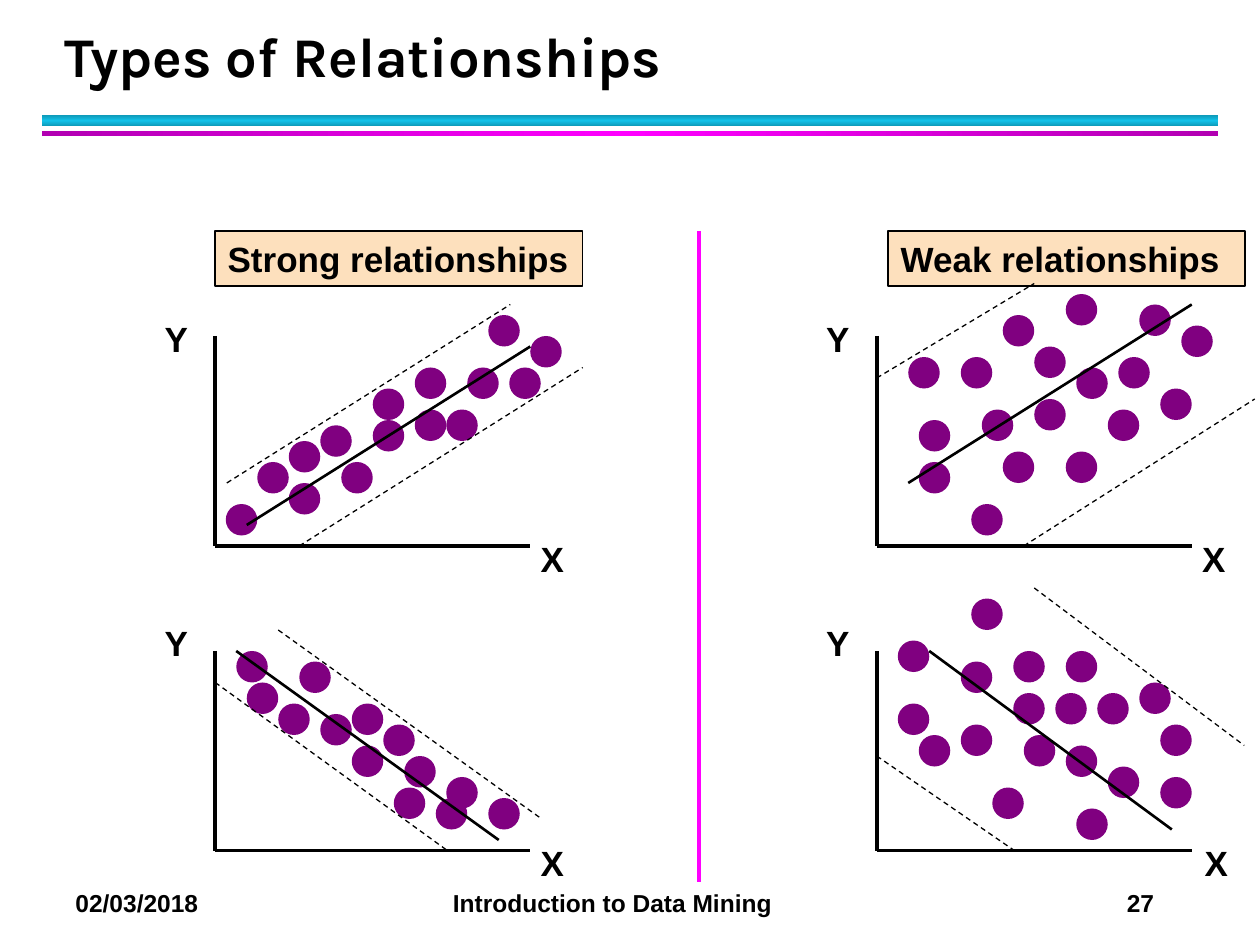
from copy import deepcopy

from lxml import etree
from pptx import Presentation
from pptx.dml.color import RGBColor
from pptx.enum.dml import MSO_LINE
from pptx.enum.shapes import MSO_CONNECTOR, MSO_SHAPE
from pptx.enum.text import MSO_ANCHOR, PP_ALIGN
from pptx.oxml.ns import qn
from pptx.util import Pt

STRAIGHT = MSO_CONNECTOR.STRAIGHT
RECTANGLE, OVAL = MSO_SHAPE.RECTANGLE, MSO_SHAPE.OVAL
DASH = MSO_LINE.DASH
TOP, BOTTOM = MSO_ANCHOR.TOP, MSO_ANCHOR.BOTTOM
LEFT = PP_ALIGN.LEFT

COLORS = {
    "black": "000000", "dot": "800080", "heading": "FDE0BD", "divider": "FF00FF",
    "cyan": "12C2E9", "dark cyan": "0E9BBA",
    "magenta": "FF00FF", "dark magenta": "B200B2",
}

TITLE = "Types of Relationships"
FOOTER = ["02/03/2018", "Introduction to Data Mining", "27"]
FOOTER_TABS = [215.7, 600.8]

# Rules under the title: top, height, edge colour, middle colour, angle
RULES = [
    (66, 6, "dark cyan", "cyan", 90),
    (74.75, 3, "dark magenta", "magenta", 0),
]

# Headings: text, left, width
HEADINGS = [
    ("Strong relationships", 123, 210),
    ("Weak relationships", 507.6, 204),
]

# Dots and lines are measured rightwards and upwards from each plot's origin
PLOTS = [
    {   # strong, rising
        "origin": (123, 312), "height": 120, "x_label": 178.8,
        "dots": [(15, 15), (33, 39), (165, 123), (177, 93), (51, 27), (189, 111),
                 (123, 69), (123, 93), (153, 93), (99, 81), (51, 51), (69, 60),
                 (141, 69), (99, 63), (81, 39)],
        "bounds": [(6.6, 36, 168.6, 138), (48, 0, 210, 102)],
        "trend": (18, 12, 180, 114),
    },
    {   # strong, falling
        "origin": (123, 486), "height": 114, "x_label": 178.8,
        "dots": [(135, 21), (27, 87), (165, 21), (57, 99), (117, 45), (141, 33),
                 (87, 75), (21, 105), (45, 75), (69, 69), (111, 27), (105, 63),
                 (87, 51)],
        "bounds": [(36, 126, 186.6, 18), (0, 96, 132.6, 0)],
        "trend": (12, 114, 162, 6),
    },
    {   # weak, rising
        "origin": (501, 312), "height": 120, "x_label": 178.8,
        "dots": [(99, 105), (33, 39), (117, 45), (147, 99), (57, 99), (63, 15),
                 (81, 45), (123, 93), (81, 123), (33, 63), (27, 99), (69, 69),
                 (141, 69), (99, 75), (117, 135), (183, 117), (171, 81), (159, 129)],
        "bounds": [(0, 96, 90, 150), (84, 0, 216, 84)],
        "trend": (18, 36, 180, 138),
    },
    {   # weak, falling
        "origin": (501, 486), "height": 114, "x_label": 180.3,
        "dots": [(21, 75), (21, 111), (57, 63), (123, 15), (33, 57), (87, 105),
                 (117, 51), (111, 81), (87, 81), (57, 99), (135, 81), (93, 57),
                 (75, 27), (141, 39), (171, 63), (159, 87), (171, 33), (117, 105),
                 (63, 135)],
        "bounds": [(90, 150, 210, 60), (0, 54, 78.6, 0)],
        "trend": (30, 114, 168.6, 12),
    },
]
AXIS_WIDTH = 180
DOT_SIZE = 18

deck = Presentation()
deck.slide_width, deck.slide_height = Pt(720), Pt(540)
slide = deck.slides.add_slide(deck.slide_layouts[6])


def rgb(name):
    return RGBColor.from_string(COLORS[name])


def add_shape(kind, left, top, width, height, fill=None):
    shape = slide.shapes.add_shape(kind, Pt(left), Pt(top), Pt(width), Pt(height))
    shape.shadow.inherit = False
    shape.line.fill.background()
    if fill:
        shape.fill.solid()
        shape.fill.fore_color.rgb = rgb(fill)
    return shape


def add_line(start_x, start_y, end_x, end_y, weight, color="black", dash=None):
    line = slide.shapes.add_connector(
        STRAIGHT, Pt(start_x), Pt(start_y), Pt(end_x), Pt(end_y))
    line.line.color.rgb = rgb(color)
    line.line.width = Pt(weight)
    if dash:
        line.line.dash_style = dash
    etree.SubElement(line._element.spPr, qn("a:effectLst"))


def write(box, text, size, font="Arial", anchor=TOP, wrap=True):
    frame = box.text_frame
    frame.word_wrap = wrap
    frame.vertical_anchor = anchor
    para = frame.paragraphs[0]
    para.text = text
    para.alignment = LEFT
    para.font.size = Pt(size)
    para.font.name = font
    para.font.bold = True
    para.font.color.rgb = rgb("black")
    return para


def add_text(left, top, width, height, text, size, **options):
    box = slide.shapes.add_textbox(Pt(left), Pt(top), Pt(width), Pt(height))
    return write(box, text, size, **options)


# Title and the two rules below it
for top, height, edge, middle, angle in RULES:
    rule = add_shape(RECTANGLE, 24, top, 672, height)
    rule.fill.gradient()
    rule.fill.gradient_angle = angle
    stop_list = rule._element.spPr.find(".//" + qn("a:gsLst"))
    stop_list.insert(1, deepcopy(stop_list[0]))
    for stop, position, color in zip(
            rule.fill.gradient_stops, (0, 0.5, 1), (edge, middle, edge)):
        stop.position = position
        stop.color.rgb = rgb(color)
title = add_text(30, 12, 652, 42, TITLE, 32, font="Karla", anchor=BOTTOM)
title.line_spacing = Pt(36)

# Footer with tab stops
footer_box = slide.shapes.add_textbox(Pt(36), Pt(504), Pt(672), Pt(24.5))
footer_properties = footer_box.text_frame.paragraphs[0]._p.get_or_add_pPr()
tab_list = etree.SubElement(footer_properties, qn("a:tabLst"))
for position in FOOTER_TABS:
    etree.SubElement(tab_list, qn("a:tab"), pos=str(Pt(position)), algn="l")
write(footer_box, "\t".join(FOOTER), 14)

# Headings and the divider between the columns
for text, left, width in HEADINGS:
    heading = add_shape(RECTANGLE, left, 132, width, 31.5, "heading")
    heading.line.color.rgb = rgb("black")
    heading.line.width = Pt(1)
    write(heading, text, 20)
add_line(399.5, 132, 399.5, 504, 2.25, "divider")

# Scatter plots
for plot in PLOTS:
    origin_x, origin_y = plot["origin"]

    def add_plot_line(ends, weight, dash=None):
        x1, y1, x2, y2 = ends
        add_line(origin_x + x1, origin_y - y1, origin_x + x2, origin_y - y2,
                 weight, dash=dash)

    for x, y in plot["dots"]:
        add_shape(OVAL, origin_x + x - DOT_SIZE / 2, origin_y - y - DOT_SIZE / 2,
                  DOT_SIZE, DOT_SIZE, "dot")
    add_plot_line((0, plot["height"], 0, 0), 2)
    add_plot_line((0, 0, AXIS_WIDTH, 0), 2)
    for bound in plot["bounds"]:
        add_plot_line(bound, 0.75, DASH)
    add_plot_line(plot["trend"], 1.5)
    add_text(origin_x - 36, origin_y - 134.4, 27.5, 31.5, "Y", 20, wrap=False)
    add_text(origin_x + plot["x_label"], origin_y - 8.5, 27.5, 31.5, "X", 20, wrap=False)

deck.save("out.pptx")
